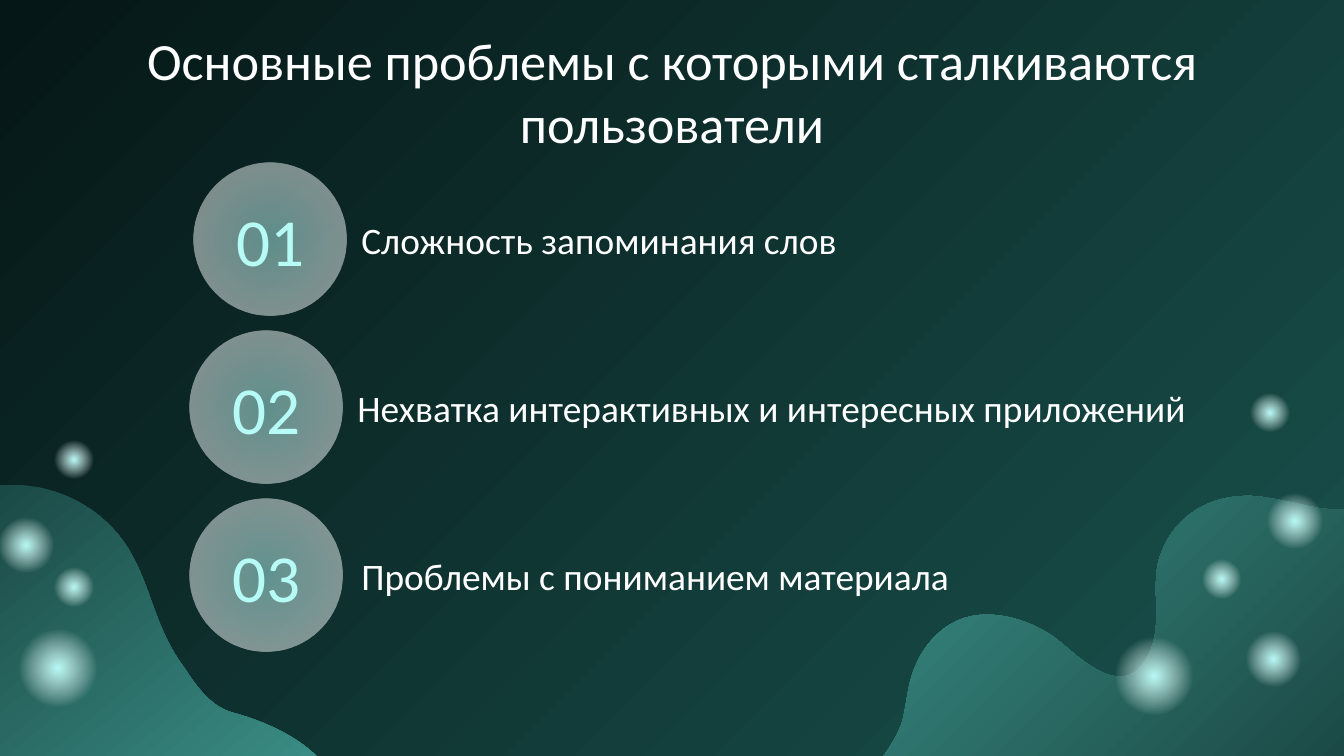
from lxml import etree
from pptx import Presentation
from pptx.dml.color import RGBColor
from pptx.enum.shapes import MSO_SHAPE as SHAPE
from pptx.enum.text import MSO_ANCHOR as ANCHOR, PP_ALIGN as ALIGN
from pptx.oxml.ns import qn
from pptx.util import Inches, Pt


def set_gradient(fill, props, stops, angle=None):
    fill.solid()
    solid = props.find(qn("a:solidFill"))
    grad = etree.Element(qn("a:gradFill"), rotWithShape="1")
    stop_list = etree.SubElement(grad, qn("a:gsLst"))
    for pos, color, alpha in stops:
        gs = etree.SubElement(stop_list, qn("a:gs"), pos=str(pos * 1000))
        clr = etree.SubElement(gs, qn("a:srgbClr"), val=color)
        etree.SubElement(clr, qn("a:alpha"), val=str(alpha * 1000))
    if angle is None:
        radial = etree.SubElement(grad, qn("a:path"), path="circle")
        etree.SubElement(radial, qn("a:fillToRect"), l="50000", t="50000", r="50000", b="50000")
    else:
        etree.SubElement(grad, qn("a:lin"), ang=str(angle * 60000), scaled="0")
    props.replace(solid, grad)


def add_text(box, text, size, color, align, anchor=ANCHOR.MIDDLE):
    tf = s.shapes.add_textbox(*map(Inches, box)).text_frame
    margins = {f"margin_{side}": Inches(0.1) for side in ("left", "top", "right", "bottom")}
    for name, value in {"word_wrap": True, "vertical_anchor": anchor, **margins}.items():
        setattr(tf, name, value)
    p = tf.paragraphs[0]
    p.alignment = align
    r = p.add_run()
    r.text = text
    for name, value in {"name": "Calibri", "size": Pt(size)}.items():
        setattr(r.font, name, value)
    r.font.color.rgb = RGBColor.from_string(color)


prs = Presentation()
prs.slide_width = Inches(10)
prs.slide_height = prs.slide_width * 9 // 16
s = prs.slides.add_slide(prs.slide_layouts[6])
bg_fill = s.background.fill
bg_fill.solid()
bg_props = s.element.find(".//" + qn("p:bgPr"))
set_gradient(bg_fill, bg_props, [(0, "051716", 100), (100, "1A524E", 100)], 45)

waves = [
    ((10, 3.79), [
        ((9.88, 3.8), (9.75, 3.77), (9.62, 3.74)),
        ((9.51, 3.72), (9.4, 3.69), (9.28, 3.69)),
        ((9, 3.69), (8.76, 3.83), (8.65, 4.09)),
        ((8.53, 4.35), (8.69, 4.65), (8.52, 4.92)),
        ((8.34, 5.2), (8.04, 4.9), (7.87, 4.76)),
        ((7.66, 4.6), (7.32, 4.5), (7.08, 4.64)),
        ((6.96, 4.71), (6.86, 4.83), (6.81, 4.96)),
        ((6.75, 5.09), (6.75, 5.24), (6.71, 5.38)),
        ((6.68, 5.46), (6.63, 5.55), (6.57, 5.63)),
    ], (10, 5.63), "3A8C84", "1B4A46", 45),
    ((0, 3.61), [
        ((0.42, 3.58), (0.78, 3.79), (0.96, 4.09)),
        ((1.13, 4.37), (1.15, 4.68), (1.38, 4.98)),
        ((1.5, 5.17), (1.6, 5.26), (1.72, 5.3)),
        ((1.95, 5.36), (2.2, 5.47), (2.36, 5.63)),
    ], (0, 5.63), "1B4A46", "3A8C84", 50),
]
steps = 16
for start, curves, corner, first, last, angle in waves:
    points, a = [], start
    for b, c, d in curves:
        for i in range(1, steps + 1):
            t = i / steps
            u = 1 - t
            points.append([
                Inches(u**3 * a[k] + 3 * u * u * t * b[k] + 3 * u * t * t * c[k] + t**3 * d[k])
                for k in (0, 1)
            ])
        a = d
    points.append([Inches(v) for v in corner])
    builder = s.shapes.build_freeform(Inches(start[0]), Inches(start[1]))
    builder.add_line_segments(points, close=True)
    sp = builder.convert_to_shape()
    sp.shadow.inherit = False
    sp.line.fill.background()
    set_gradient(sp.fill, sp.element.spPr, [(0, first, 100), (100, last, 100)], angle)

glow = [(0, "B7FBF6", 100), (57, "FFFFFF", 0), (100, "FFFFFF", 0)]
disc = [(0, "B7FBF6", 49), (77, "FFFFFF", 49), (100, "FFFFFF", 49)]
circles = [
    (0.07, 4.61, 0.72, glow), (-0.06, 3.8, 0.51, glow), (0.37, 3.24, 0.36, glow),
    (0.37, 4.19, 0.36, glow), (8.23, 4.67, 0.72, glow), (9.22, 4.65, 0.51, glow),
    (9.27, 2.89, 0.36, glow), (8.91, 4.13, 0.36, glow), (9.38, 3.62, 0.51, glow),
]
problems = [
    ("Сложность запоминания слов", 1.44, 2.59, 4.24),
    ("Нехватка интерактивных и интересных приложений", 1.41, 2.56, 6.51),
    ("Проблемы с пониманием материала", 1.41, 2.59, 6.51),
]
row_top, row_step = 1.21, 1.25
circles += [(x, row_top + i * row_step, 1.14, disc) for i, (_, x, _, _) in enumerate(problems)]
for x, y, size, stops in circles:
    sp = s.shapes.add_shape(SHAPE.OVAL, *map(Inches, (x, y, size, size)))
    sp.shadow.inherit = False
    sp.line.fill.background()
    set_gradient(sp.fill, sp.element.spPr, stops)

add_text((0.66, 0.11, 8.68, 1.13), "Основные проблемы с которыми сталкиваются пользователи",
         28, "FFFFFF", ALIGN.CENTER, ANCHOR.TOP)
for i, (text, number_x, text_x, text_width) in enumerate(problems):
    y = row_top + 0.21 + i * row_step
    add_text((number_x, y, 1.14, 0.72), f"{i + 1:02}", 36, "B7FBF6", ALIGN.CENTER)
    add_text((text_x, y, text_width, 0.72), text, 20, "FFFFFF", ALIGN.LEFT)

prs.save("out.pptx")
